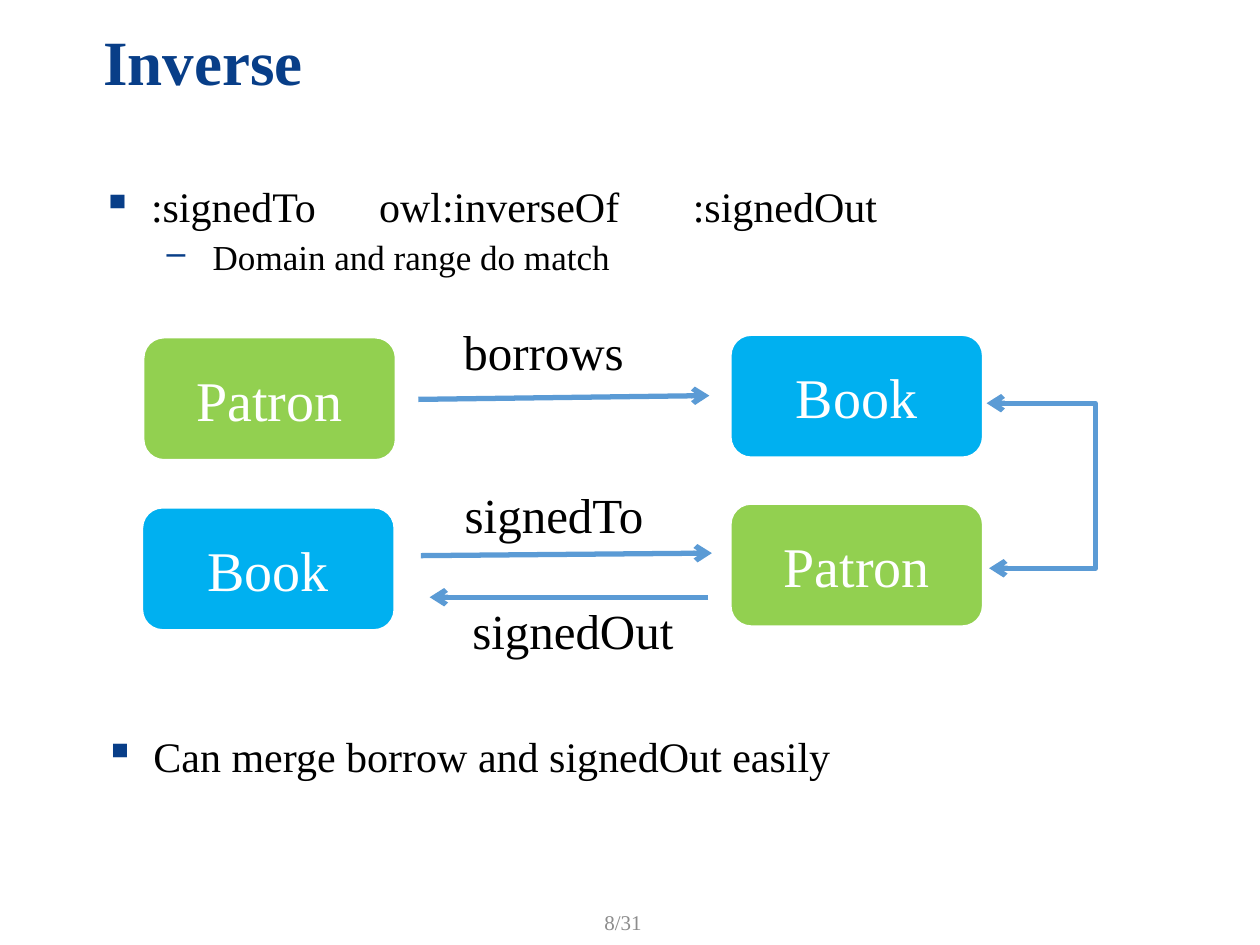
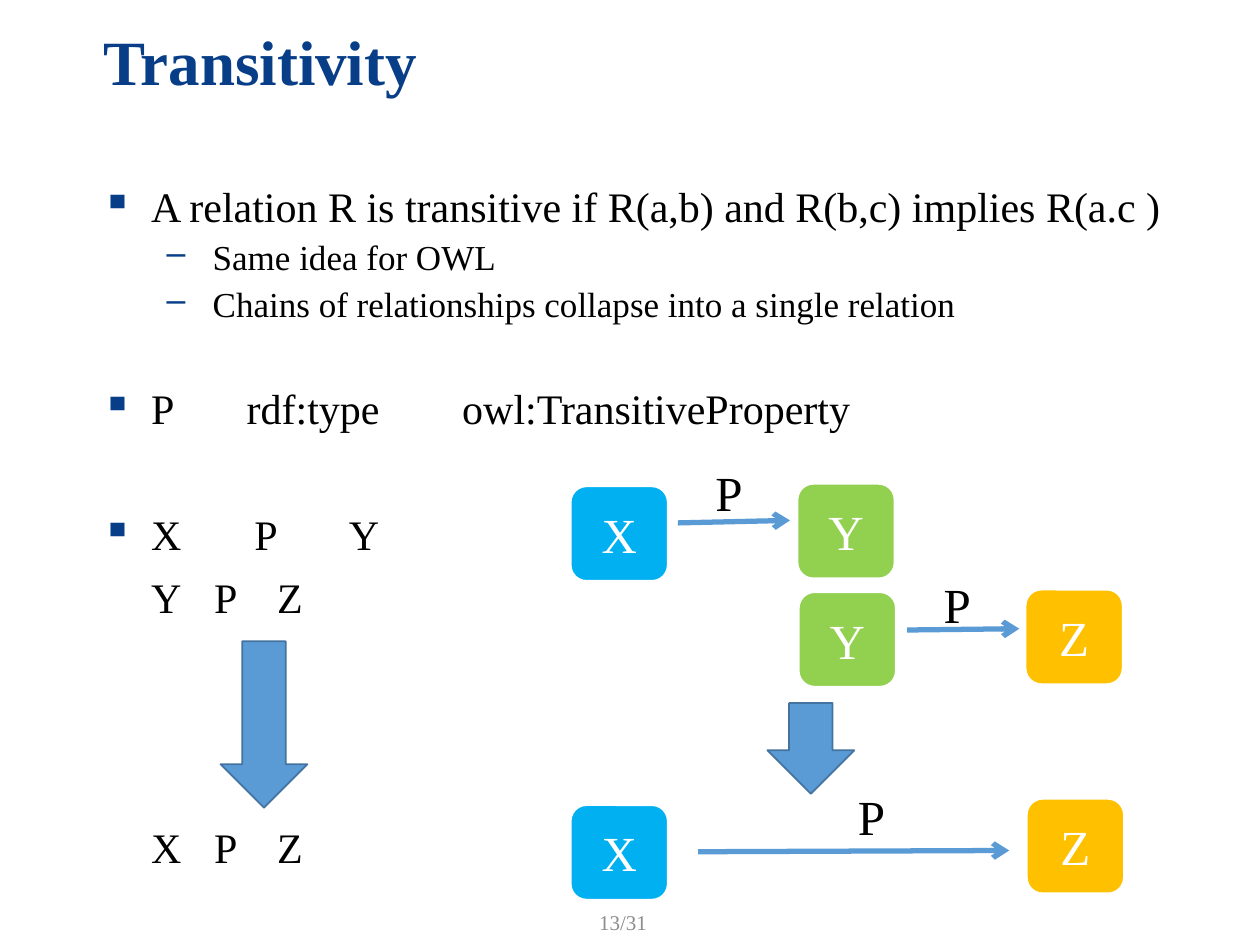
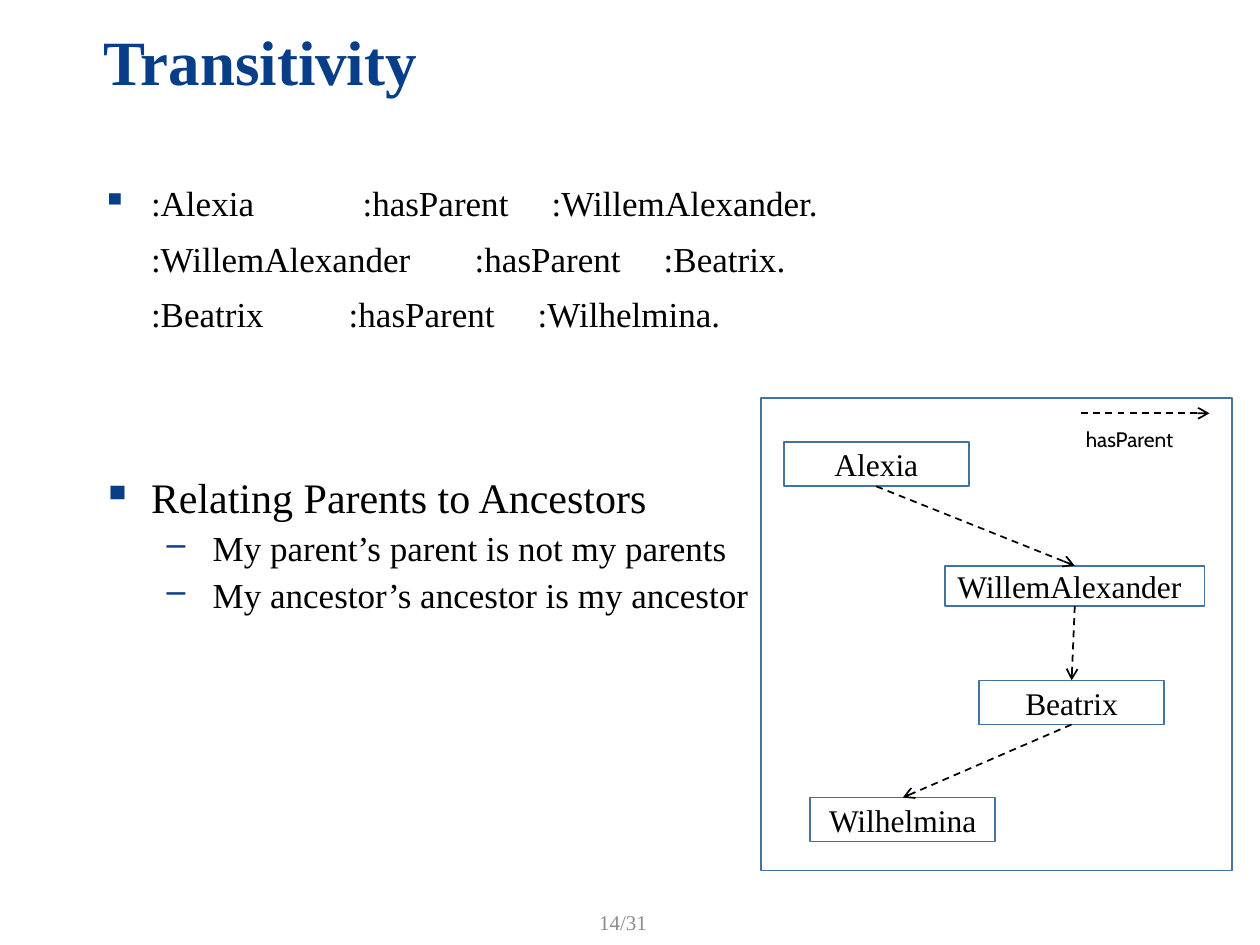
"""Builds three slides on inverse and transitive OWL properties."""
import pptx
import pptx.dml.color
import pptx.enum.dml
import pptx.enum.shapes
import pptx.enum.text
import pptx.oxml
import pptx.oxml.ns
import pptx.util
from pptx.util import Inches

SERIF, SANS = "Times New Roman", "Cabin"
NAVY, BLACK, WHITE, GRAY = "083E88", "000000", "FFFFFF", "8C8C8C"
STEEL, STEEL_EDGE = "5B9BD5", "43739E"
GREEN, SKY, GOLD = "92D050", "00B0F0", "FFC000"

SHAPE = pptx.enum.shapes.MSO_SHAPE
ALIGN = pptx.enum.text.PP_ALIGN
ANCHOR = pptx.enum.text.MSO_ANCHOR
BODY_LEFT, BODY_TOP, BODY_WIDTH = 0.71, 1.43, 9.08
HANGING = 0.39
LEVELS = {0: (HANGING, -HANGING, "▪", 10), 1: (0.88, -0.38, "‒", 5), None: (0, 0, None, 10)}
NODE_COLORS = {"Patron": GREEN, "Book": SKY, "X": SKY, "Y": GREEN, "Z": GOLD}

# Text blocks hold left, top, height and rows of (level, text, size, space before, tab stops).
INVERSE = {
    "title": "Inverse",
    "number": "8/31",
    "blocks": [
        (BODY_LEFT, BODY_TOP, 1.2, [
            (0, ":signedTo\towl:inverseOf\t:signedOut", 24, None, (2.2, 4.69)),
            (1, "Domain and range do match", 20, None, ())]),
        (0.73, 5.79, 0.76, [(0, "Can merge borrow and signedOut easily", 24, None, ())]),
    ],
    "node_size": (2, 0.97, 32),
    "nodes": [("Patron", 1.14, 2.68), ("Book", 5.8, 2.66), ("Book", 1.13, 4.03), ("Patron", 5.8, 4)],
    "labels": [("borrows", 3.58, 2.5), ("signedTo", 3.59, 3.8), ("signedOut", 3.65, 4.72)],
    "arrows": [(3.32, 3.17, 5.63, 3.14), (3.34, 4.41, 5.65, 4.39), (5.62, 4.74, 3.41, 4.74)],
    "down_arrows": [],
}
TRANSITIVITY = {
    "title": "Transitivity",
    "number": "13/31",
    "blocks": [
        (BODY_LEFT, BODY_TOP, 3.1, [
            (0, "A relation R is transitive if R(a,b) and R(b,c) implies R(a.c )", 24, None, ()),
            (1, "Same idea for OWL", 20, None, ()),
            (1, "Chains of relationships collapse into a single relation", 20, None, ()),
            (0, "P\trdf:type\towl:TransitiveProperty", 24, 36.4, (1.15, 2.86)),
            (0, "X\tP\tY", 24, 46, (1.21, 1.96))]),
        (BODY_LEFT + HANGING, 4.53, 0.5, [(None, "Y\tP\tZ", 24, None, (0.81, 1.57))]),
        (BODY_LEFT + HANGING, 6.52, 0.5, [(None, "X\tP\tZ", 24, None, (0.82, 1.58))]),
    ],
    "node_size": (0.77, 0.75, 28),
    "nodes": [("X", 4.53, 3.86), ("Y", 6.33, 3.84), ("Y", 6.34, 4.7),
              ("Z", 8.14, 4.68), ("X", 4.53, 6.39), ("Z", 8.15, 6.34)],
    "labels": [("P", 5.58, 3.62), ("P", 7.39, 4.51), ("P", 6.71, 6.19)],
    "arrows": [(5.38, 4.15, 6.27, 4.13), (7.2, 5, 8.09, 4.99), (5.54, 6.76, 8.01, 6.75)],
    "down_arrows": [(1.75, 5.09, 0.69, 1.32), (6.09, 5.58, 0.69, 0.72)],
}
ANCESTORS = {
    "title": "Transitivity",
    "number": "14/31",
    "blocks": [
        (BODY_LEFT, BODY_TOP, 3.6, [
            (0, ":Alexia\t \t :hasParent\t :WillemAlexander.", 20, None, ()),
            (0, "Relating Parents to Ancestors", 24, 144.8, ()),
            (1, "My parent’s parent is not my parents", 20, None, ()),
            (1, "My ancestor’s ancestor is my ancestor", 20, None, ())]),
        (BODY_LEFT + HANGING, 1.87, 0.9, [
            (None, ":WillemAlexander \t :hasParent \t :Beatrix.", 20, None, ()),
            (None, ":Beatrix \t\t :hasParent \t :Wilhelmina.", 20, None, ())]),
    ],
}
FAMILY = [("Alexia", 6.22, 3.51, 1.47, 0.35, ALIGN.CENTER),
          ("WillemAlexander", 7.5, 4.49, 2.06, 0.32, ALIGN.LEFT),
          ("Beatrix", 7.77, 5.4, 1.47, 0.35, ALIGN.CENTER),
          ("Wilhelmina", 6.43, 6.33, 1.47, 0.35, ALIGN.CENTER)]
FAMILY_PANEL = (6.04, 3.16, 3.74, 3.75)
LEGEND_ARROW = (8.58, 3.28, 9.6, 3.28)


def color(value):
    return pptx.dml.color.RGBColor.from_string(value)


def inches(*lengths):
    return [Inches(length) for length in lengths]


def add_element(parent, tag, **attributes):
    element = pptx.oxml.parse_xml(f'<a:{tag} {pptx.oxml.ns.nsdecls("a")}/>')
    for name, value in attributes.items():
        element.set(name, str(value))
    parent.append(element)
    return element


def format_runs(paragraph, size, text_color, font=SERIF, bold=False):
    for run in paragraph.runs:
        run.font.name = font
        run.font.size = pptx.util.Pt(size)
        run.font.bold = bold
        run.font.color.rgb = color(text_color)


def write(shape, text, size, text_color, align=ALIGN.LEFT, anchor=ANCHOR.TOP, font=SERIF, bold=False):
    frame = shape.text_frame
    frame.word_wrap = True
    frame.vertical_anchor = anchor
    frame.text = text
    paragraph = frame.paragraphs[0]
    paragraph.alignment = align
    format_runs(paragraph, size, text_color, font, bold)
    return paragraph


def add_label(slide, text, box, size, text_color=BLACK, **options):
    return write(slide.shapes.add_textbox(*inches(*box)), text, size, text_color, **options)


def add_figure(slide, kind, box, fill, edge):
    shape = slide.shapes.add_shape(kind, *inches(*box))
    shape.shadow.inherit = False
    if fill:
        shape.fill.solid()
        shape.fill.fore_color.rgb = color(fill)
    else:
        shape.fill.background()
    shape.line.color.rgb = color(edge)
    shape.line.width = pptx.util.Pt(1)
    return shape


def add_arrow(slide, ends, line_color=STEEL, width=3, dashed=False, elbow=None):
    kinds = pptx.enum.shapes.MSO_CONNECTOR
    connector = slide.shapes.add_connector(kinds.ELBOW if elbow else kinds.STRAIGHT, *inches(*ends))
    connector.line.color.rgb = color(line_color)
    connector.line.width = pptx.util.Pt(width)
    if dashed:
        connector.line.dash_style = pptx.enum.dml.MSO_LINE.DASH
    properties = connector._element.spPr
    line = properties.find(pptx.oxml.ns.qn("a:ln"))
    if elbow:
        add_element(line, "headEnd", type="arrow")
        bend = round((elbow - ends[0]) / (ends[2] - ends[0]) * 100000)
        guides = properties.find(".//" + pptx.oxml.ns.qn("a:avLst"))
        add_element(guides, "gd", name="adj1", fmla=f"val {bend}")
    add_element(line, "tailEnd", type="arrow")
    add_element(properties, "effectLst")


def add_block(slide, left, top, height, rows):
    right = BODY_LEFT + BODY_WIDTH
    frame = slide.shapes.add_textbox(*inches(left, top, right - left, height)).text_frame
    frame.word_wrap = True
    for index, (level, text, size, before, stops) in enumerate(rows):
        paragraph = frame.add_paragraph() if index else frame.paragraphs[0]
        paragraph.text = text
        paragraph.level = level or 0
        margin, indent, bullet, gap = LEVELS[level]
        properties = paragraph._p.get_or_add_pPr()
        properties.set("marL", str(Inches(margin)))
        properties.set("indent", str(Inches(indent)))
        if bullet:
            add_element(add_element(properties, "buClr"), "srgbClr", val=NAVY)
            add_element(properties, "buChar", char=bullet)
        if stops:
            tabs = add_element(properties, "tabLst")
            for stop in stops:
                add_element(tabs, "tab", pos=Inches(stop), algn="l")
        paragraph.line_spacing = 0.9
        if index:
            paragraph.space_before = pptx.util.Pt(before or gap)
        format_runs(paragraph, size, BLACK)


def add_base_slide(presentation, content):
    slide = presentation.slides.add_slide(presentation.slide_layouts[5])
    title = slide.shapes.title
    title.left, title.top, title.width, title.height = inches(0.72, 0.1, 8.47, 0.83)
    heading = write(title, content["title"], 36, NAVY, anchor=ANCHOR.MIDDLE, bold=True)
    heading.line_spacing = 0.9
    for block in content["blocks"]:
        add_block(slide, *block)
    add_label(slide, content["number"], (3.82, 7.18, 2.25, 0.27), 12, GRAY,
              align=ALIGN.CENTER, anchor=ANCHOR.MIDDLE)
    return slide


def add_relation_slide(presentation, content):
    slide = add_base_slide(presentation, content)
    width, height, size = content["node_size"]
    for box in content["down_arrows"]:
        add_figure(slide, SHAPE.DOWN_ARROW, box, STEEL, STEEL_EDGE)
    for ends in content["arrows"]:
        add_arrow(slide, ends)
    for name, left, top in content["nodes"]:
        node = add_figure(slide, SHAPE.ROUNDED_RECTANGLE, (left, top, width, height), NODE_COLORS[name], WHITE)
        write(node, name, size, WHITE, ALIGN.CENTER, ANCHOR.MIDDLE)
    for text, left, top in content["labels"]:
        add_label(slide, text, (left, top, 0.5 if len(text) == 1 else 1.94, 0.57), 28)
    return slide


def add_family_slide(presentation):
    slide = add_base_slide(presentation, ANCESTORS)
    add_figure(slide, SHAPE.RECTANGLE, FAMILY_PANEL, None, STEEL_EDGE)
    for name, *box, align in FAMILY:
        person = add_figure(slide, SHAPE.RECTANGLE, box, WHITE, STEEL_EDGE)
        write(person, name, 18, BLACK, align, ANCHOR.MIDDLE)
    links = [(left + width / 2, top + height, parent_left + parent_width / 2, parent_top)
             for (_, left, top, width, height, _), (_, parent_left, parent_top, parent_width, _, _)
             in zip(FAMILY, FAMILY[1:])]
    for ends in links + [LEGEND_ARROW]:
        add_arrow(slide, ends, BLACK, 1, dashed=True)
    add_label(slide, "hasParent", (8.52, 3.34, 1, 0.3), 12, font=SANS)


def main():
    presentation = pptx.Presentation()
    presentation.slide_width, presentation.slide_height = inches(10, 7.5)
    inverse = add_relation_slide(presentation, INVERSE)
    add_arrow(inverse, (7.83, 3.2, 7.85, 4.51), elbow=8.69)
    add_relation_slide(presentation, TRANSITIVITY)
    add_family_slide(presentation)
    presentation.save("out.pptx")


if __name__ == "__main__":
    main()
